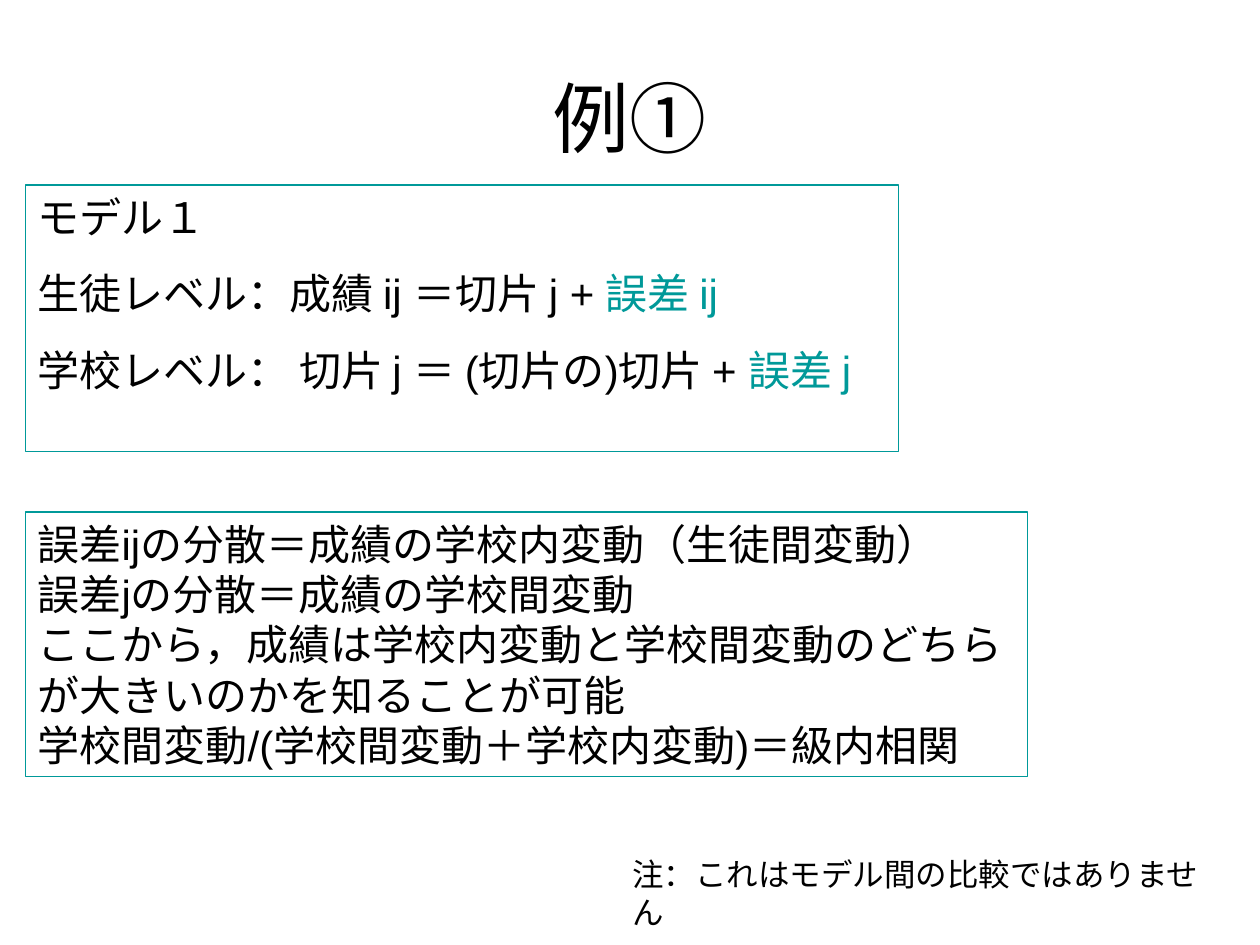
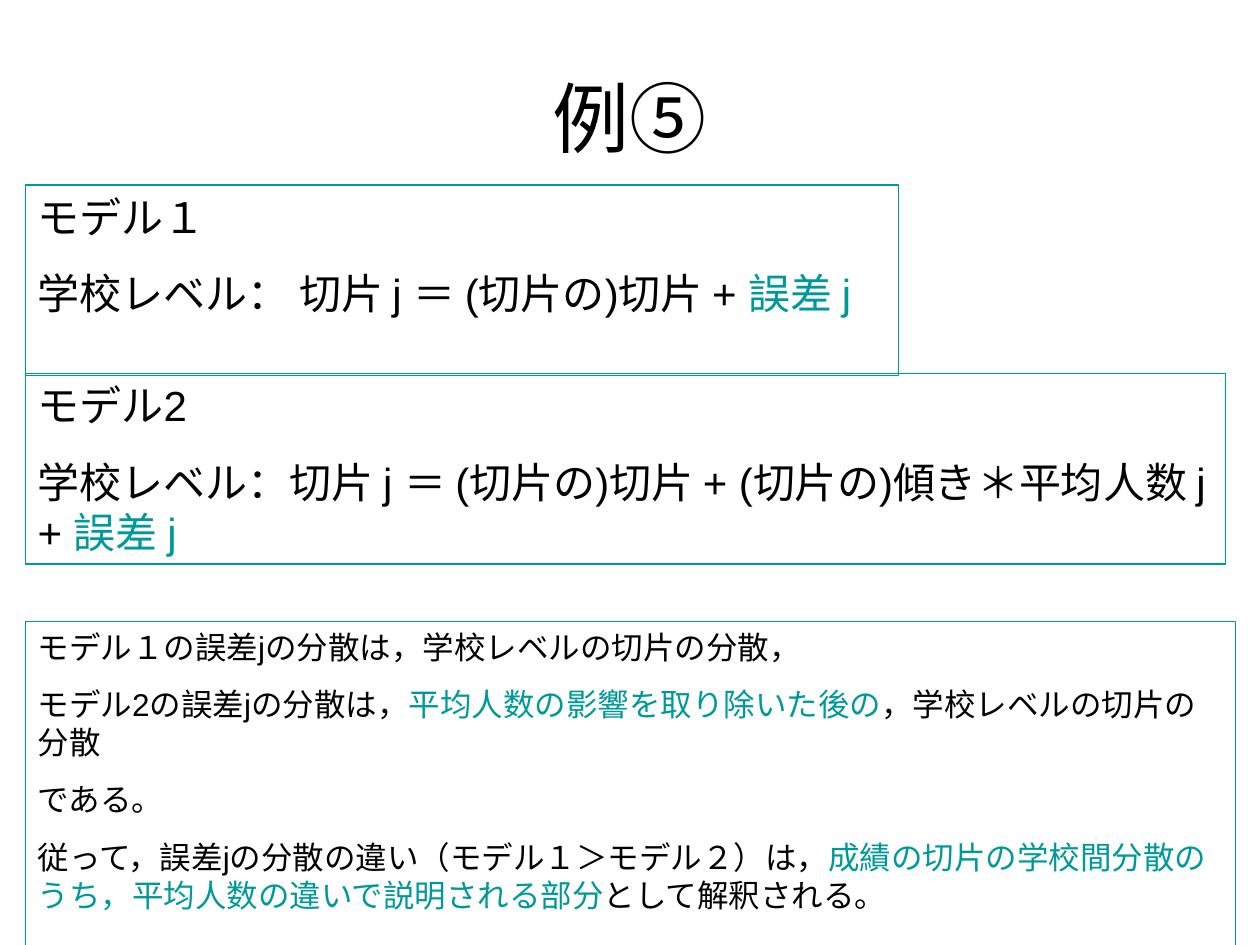
from pptx import Presentation
from pptx.dml.color import RGBColor
from pptx.enum.shapes import MSO_SHAPE
from pptx.enum.text import MSO_ANCHOR, PP_ALIGN
from pptx.util import Cm, Pt

BLACK = RGBColor(0x00, 0x00, 0x00)
TEAL = RGBColor(0x00, 0x99, 0x99)
FONT = "Arial"
LEFT = 0.51  # shared left edge of the framed boxes, in cm

deck = Presentation()
deck.slide_width, deck.slide_height = Cm(25.4), Cm(19.05)


def write(box, lines, size, gap=0, align=PP_ALIGN.LEFT, anchor=MSO_ANCHOR.TOP):
    """Fill a box with paragraphs; text between bars is teal."""
    frame = box.text_frame
    frame.word_wrap = True
    frame.vertical_anchor = anchor
    for number, line in enumerate(lines):
        para = frame.paragraphs[0] if number == 0 else frame.add_paragraph()
        para.alignment = align
        para.space_before = Pt(gap if number else 0)
        para.font.name = FONT
        para.font.size = Pt(size)
        for index, text in enumerate(line.split("|")):
            if text:
                span = para.add_run()
                span.text = text
                span.font.color.rgb = TEAL if index % 2 else BLACK


def add_framed(page, top, width, height, lines, size, gap):
    """Add a teal-outlined box of text at the shared left edge."""
    box = page.shapes.add_shape(
        MSO_SHAPE.RECTANGLE, Cm(LEFT), Cm(top), Cm(width), Cm(height))
    box.shadow.inherit = False
    box.fill.background()
    box.line.color.rgb = TEAL
    box.line.width = Pt(0.75)
    write(box, lines, size, gap)


SCHOOL_LEVEL = "学校レベル： 切片 j ＝ (切片の)切片 + |誤差 j|"

# Each slide: title, then framed boxes as top, width, height, size, gap, lines
slides = [
    ("例①", [
        (3.73, 17.6, 5.38, 24, 15, [
            "モデル１",
            "生徒レベル：成績 ij ＝切片 j + |誤差 ij|",
            SCHOOL_LEVEL,
        ]),
        (10.32, 20.2, 5.34, 24, 0, [
            "誤差ijの分散＝成績の学校内変動（生徒間変動）",
            "誤差jの分散＝成績の学校間変動",
            "ここから，成績は学校内変動と学校間変動のどちらが大きいのかを知ることが可能",
            "学校間変動/(学校間変動＋学校内変動)＝級内相関",
        ]),
    ]),
    ("例⑤", [
        (3.73, 17.6, 3.84, 24, 15, ["モデル１", SCHOOL_LEVEL]),
        (7.53, 24.2, 3.84, 24, 15, [
            "モデル2",
            "学校レベル：切片 j ＝ (切片の)切片 + (切片の)傾き＊平均人数 j + |誤差 j|",
        ]),
        (12.53, 24.4, 7.2, 18, 11.2, [
            "モデル１の誤差jの分散は，学校レベルの切片の分散，",
            "モデル2の誤差jの分散は，|平均人数の影響を取り除いた後の|，学校レベルの切片の分散",
            "である。",
            "従って，誤差jの分散の違い（モデル１＞モデル２）は，"
            "|成績の切片の学校間分散のうち，平均人数の違いで説明される部分|として解釈される。",
        ]),
    ]),
]

# Titles and framed boxes
for title, boxes in slides:
    page = deck.slides.add_slide(deck.slide_layouts[6])
    heading = page.shapes.add_textbox(Cm(1.27), Cm(0.76), Cm(22.86), Cm(3.18))
    write(heading, [title], 44, align=PP_ALIGN.CENTER, anchor=MSO_ANCHOR.MIDDLE)
    for top, width, height, size, gap, lines in boxes:
        add_framed(page, top, width, height, lines, size, gap)

# Footnote on the first slide
note = deck.slides[0].shapes.add_textbox(Cm(12.5), Cm(17.12), Cm(12.01), Cm(1.78))
write(note, ["注：これはモデル間の比較ではありません"], 18)

deck.save("out.pptx")
